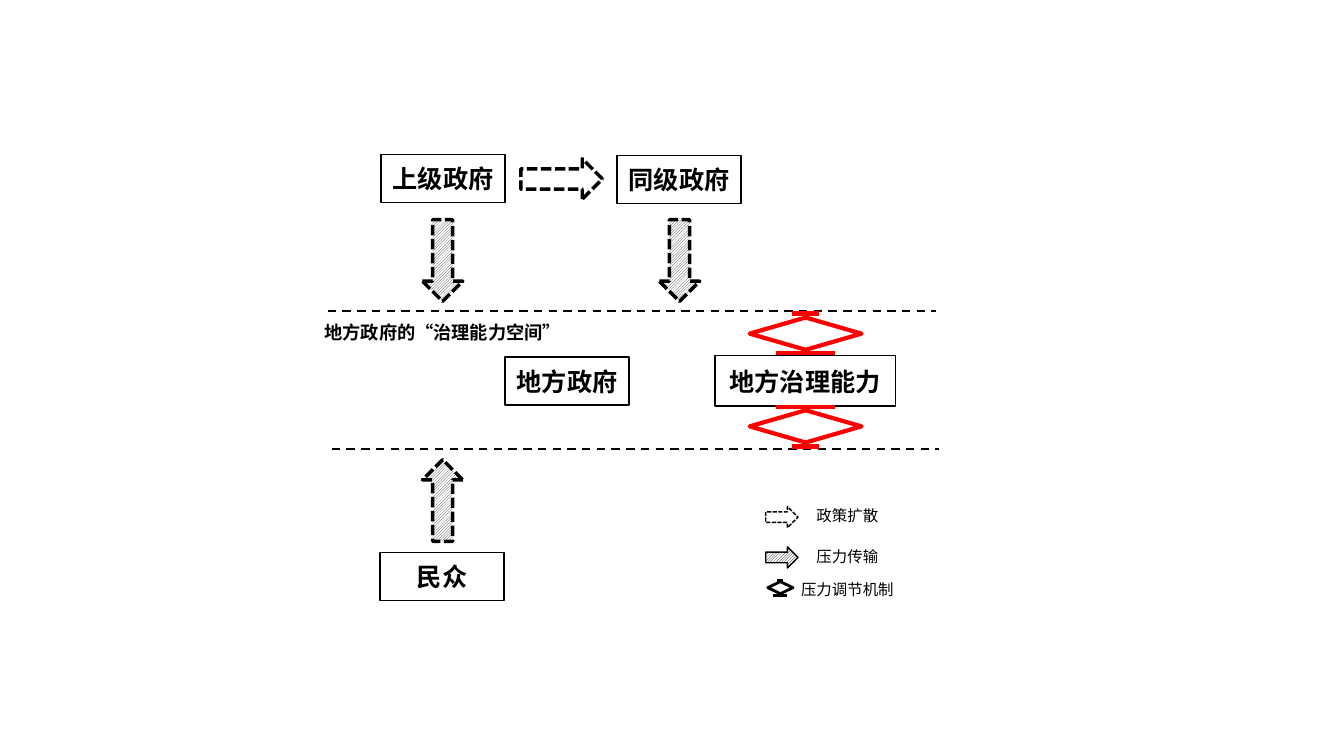
from dataclasses import dataclass

from lxml import etree
from pptx import Presentation
from pptx.dml.color import RGBColor
from pptx.enum import dml, shapes, text
from pptx.oxml import ns
from pptx.util import Inches, Pt


@dataclass(frozen=True)
class Theme:
    ink: RGBColor = RGBColor(0x00, 0x00, 0x00)
    paper: RGBColor = RGBColor(0xFF, 0xFF, 0xFF)
    hatch: RGBColor = RGBColor(0x3B, 0x38, 0x38)
    accent: RGBColor = RGBColor(0xFF, 0x00, 0x00)
    heading_font: str = "Noto Sans CJK SC"
    legend_font: str = "Roboto"
    actor_size: int = 18
    space_size: int = 13
    legend_size: int = 11


THEME = Theme()
DASH = dml.MSO_LINE.DASH
SHORT_DASH = dml.MSO_LINE.SQUARE_DOT


def write(frame, wording, size, font, bold):
    frame.word_wrap = True
    paragraph = frame.paragraphs[0]
    paragraph.alignment = text.PP_ALIGN.CENTER
    run = paragraph.add_run()
    run.text = wording
    run.font.size = Pt(size)
    run.font.name = font
    run.font.bold = bold
    run.font.color.rgb = THEME.ink
    east_asian = etree.SubElement(run.font._element, ns.qn("a:ea"))
    east_asian.set("typeface", font)


def set_line(line, color, width, dash=None):
    line.color.rgb = color
    line.width = Pt(width)
    if dash is not None:
        line.dash_style = dash


def add_outline(slide, preset, left, top, width, height, color, weight, dash=None):
    outline = slide.shapes.add_shape(
        preset, Inches(left), Inches(top), Inches(width), Inches(height))
    outline.shadow.inherit = False
    outline.fill.background()
    set_line(outline.line, color, weight, dash)
    return outline


def add_label(slide, wording, left, top, width, height, size, font, bold=False):
    label = slide.shapes.add_textbox(
        Inches(left), Inches(top), Inches(width), Inches(height))
    write(label.text_frame, wording, size, font, bold)


def add_actor(slide, wording, left, top, width=1.23, height=0.48):
    actor = add_outline(slide, shapes.MSO_SHAPE.RECTANGLE,
                        left, top, width, height, THEME.ink, 1)
    actor.text_frame.vertical_anchor = text.MSO_ANCHOR.MIDDLE
    write(actor.text_frame, wording, THEME.actor_size, THEME.heading_font, True)


def add_arrow(slide, left, top, width=0.4, height=0.81, turn=0,
              hatch=None, weight=2.5, dash=SHORT_DASH):
    arrow = add_outline(slide, shapes.MSO_SHAPE.DOWN_ARROW,
                        left, top, width, height, THEME.ink, weight, dash)
    arrow.rotation = turn
    if hatch is None:
        arrow.fill.solid()
        arrow.fill.fore_color.rgb = THEME.paper
    else:
        arrow.fill.patterned()
        arrow.fill.pattern = dml.MSO_PATTERN.DARK_UPWARD_DIAGONAL
        arrow.fill.fore_color.rgb = hatch
        arrow.fill.back_color.rgb = THEME.paper


def add_rule(slide, left, right, y, color, weight, dash=None):
    rule = slide.shapes.add_connector(
        shapes.MSO_CONNECTOR.STRAIGHT,
        Inches(left), Inches(y), Inches(right), Inches(y))
    set_line(rule.line, color, weight, dash)
    etree.SubElement(rule._element.spPr, ns.qn("a:effectLst"))


def add_regulator(slide, center, top, width, height, bars, color, weight):
    add_outline(slide, shapes.MSO_SHAPE.DIAMOND,
                center - width / 2, top, width, height, color, weight)
    for length, y in bars:
        add_rule(slide, center - length / 2, center + length / 2, y, color, weight)


def add_legend(slide):
    add_arrow(slide, 7.65, 4.97, 0.21, 0.32, 270, weight=1)
    add_arrow(slide, 7.65, 5.37, 0.21, 0.32, 270, THEME.ink, 1, None)
    add_regulator(slide, 7.74, 5.77, 0.25, 0.12,
                  [(0.14, 5.91), (0.06, 5.76)], THEME.ink, 2)
    for meaning, top in (("政策扩散", 4.97), ("压力传输", 5.38), ("压力调节机制", 5.71)):
        add_label(slide, meaning, 7.79, top, 1.23, 0.29,
                  THEME.legend_size, THEME.legend_font)


def main():
    deck = Presentation()
    deck.slide_width, deck.slide_height = Inches(13.33), Inches(7.5)
    slide = deck.slides.add_slide(deck.slide_layouts[6])

    add_rule(slide, 3.25, 9.28, 3.09, THEME.ink, 1.5, DASH)
    add_rule(slide, 3.29, 9.31, 4.45, THEME.ink, 1.5, DASH)
    add_label(slide, "地方政府的“治理能力空间”", 2.97, 3.14, 2.84, 0.32,
              THEME.space_size, THEME.heading_font, True)

    add_actor(slide, "上级政府", 3.78, 1.53)
    add_actor(slide, "同级政府", 6.12, 1.54)
    add_actor(slide, "地方政府", 5.01, 3.54)
    add_actor(slide, "民众", 3.77, 5.48)
    add_actor(slide, "地方治理能力", 7.09, 3.53, 1.79, 0.5)

    add_arrow(slide, 5.37, 1.37, turn=270)
    for left, top, turn in ((4.19, 2.18, 0), (6.54, 2.18, 0), (4.19, 4.56, 180)):
        add_arrow(slide, left, top, turn=turn, hatch=THEME.hatch)

    for top, wide_y, narrow_y in ((3.15, 3.5, 3.11), (4.07, 4.04, 4.43)):
        add_regulator(slide, 7.99, top, 1.11, 0.32,
                      [(0.59, wide_y), (0.27, narrow_y)], THEME.accent, 3)

    add_legend(slide)
    deck.save("out.pptx")


if __name__ == "__main__":
    main()
